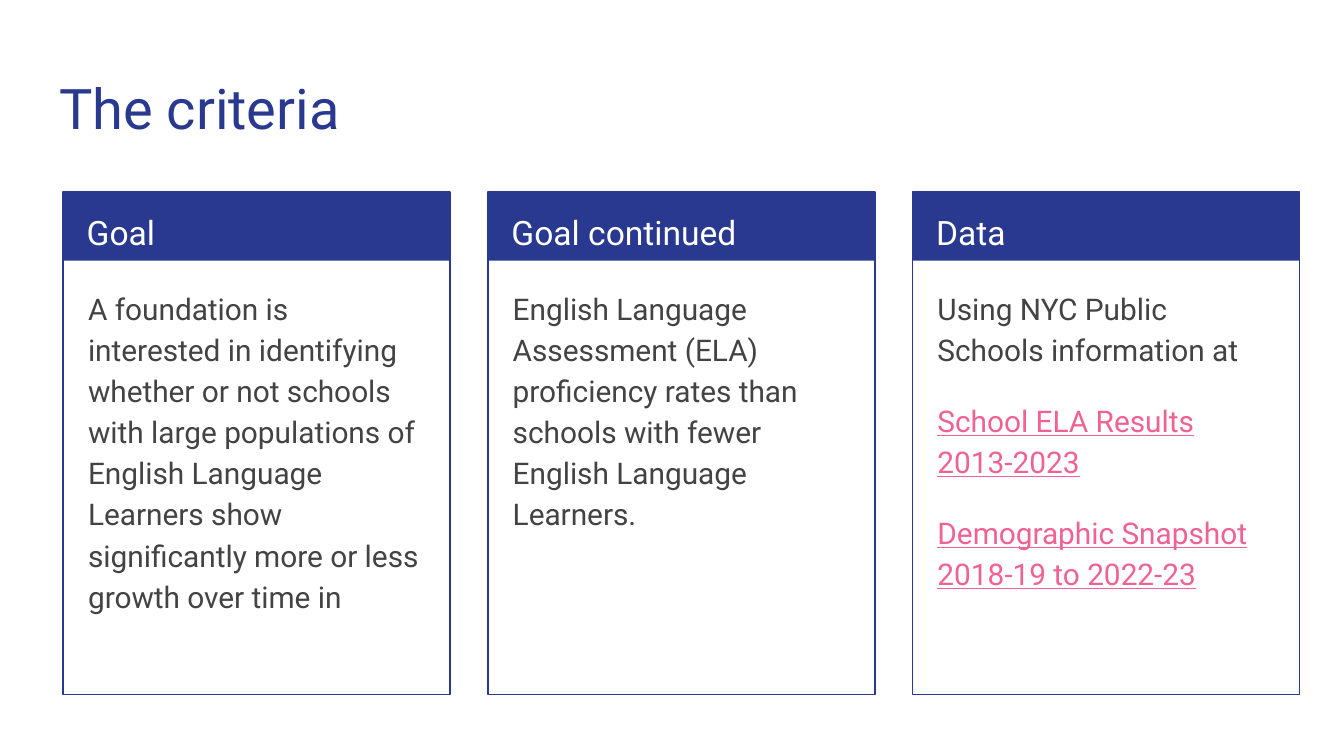
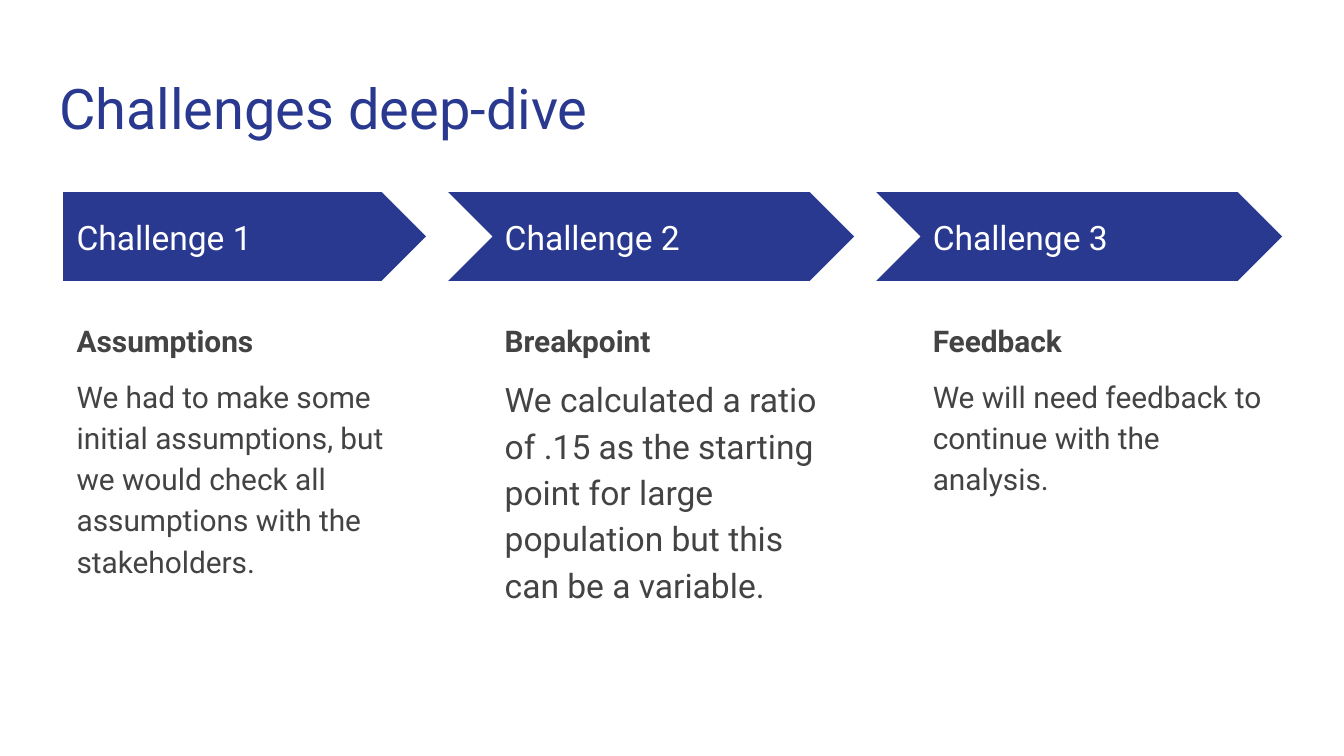
from copy import deepcopy

from pptx import Presentation
from pptx.dml.color import RGBColor
from pptx.enum.shapes import MSO_SHAPE
from pptx.enum.text import MSO_ANCHOR, MSO_AUTO_SIZE, PP_ALIGN
from pptx.util import Inches, Pt

RECTANGLE, PENTAGON, CHEVRON = MSO_SHAPE.RECTANGLE, MSO_SHAPE.PENTAGON, MSO_SHAPE.CHEVRON
TOP, MIDDLE = MSO_ANCHOR.TOP, MSO_ANCHOR.MIDDLE
LEFT, NO_FIT = PP_ALIGN.LEFT, MSO_AUTO_SIZE.NONE

BLUE = RGBColor(0x2A, 0x39, 0x90)
GREY = RGBColor(0x43, 0x43, 0x43)
PINK = RGBColor(0xF0, 0x62, 0x92)
WHITE = RGBColor(0xFF, 0xFF, 0xFF)

# The grid has ten cells to the inch.
SLIDE_COLUMNS, SLIDE_ROWS = 100, 56.25
LEFT_MARGIN, CONTENT_TOP = 4.7, 14.3
BODIES_PER_SLIDE = 6
SECTION_LAYOUT, TITLE_LAYOUT = 2, 5

CARD_WIDTH, CARD_HEIGHT, CARD_PITCH, CARD_HEADER = 28.8, 37.4, 31.6, 5.1
STEP_WIDTH, STEP_HEIGHT, STEP_PITCH, STEP_NOTCH = 27, 6.6, 31.85, 3.2

CARDS = [
    ("Goal", [{"text": "A foundation is interested in identifying whether or not schools "
                       "with large populations of English Language Learners show "
                       "significantly more or less growth over time in"}]),
    ("Goal continued", [{"text": "English Language Assessment (ELA) proficiency rates than "
                                 "schools with fewer English Language Learners."}]),
    ("Data", [
        {"text": "Using NYC Public Schools information at"},
        {"text": "School ELA Results 2013-2023", "color": PINK, "underline": True, "before": 16},
        {"text": "Demographic Snapshot 2018-19 to 2022-23", "color": PINK, "underline": True,
         "before": 16},
    ]),
]

CHALLENGES = [
    ("Challenge 1", "Assumptions", 16,
     "We had to make some initial assumptions, but we would check all assumptions "
     "with the stakeholders."),
    ("Challenge 2", "Breakpoint", 18,
     "We calculated a ratio of .15 as the starting point for large population "
     "but this can be a variable."),
    ("Challenge 3", "Feedback", 16,
     "We will need feedback to continue with the analysis."),
]


def cells(count):
    return Inches(count / 10)


class Deck:
    """Holds the shared style and the slide being built."""

    font = "Roboto"

    def __init__(self):
        self.presentation = Presentation()
        self.presentation.slide_width = cells(SLIDE_COLUMNS)
        self.presentation.slide_height = cells(SLIDE_ROWS)
        self.layout = self.presentation.slide_layouts[TITLE_LAYOUT]
        self.add_layout_bodies()

    def add_layout_bodies(self):
        """Give the title layout the body placeholders that every slide fills."""
        section = self.presentation.slide_layouts[SECTION_LAYOUT]
        source = next(shape for shape in section.placeholders
                      if shape.placeholder_format.idx == 1)
        for index in range(20, 20 + BODIES_PER_SLIDE):
            body = deepcopy(source.element)
            body.xpath(".//p:cNvPr")[0].set("id", str(index))
            body.xpath(".//p:ph")[0].set("idx", str(index))
            self.layout.shapes.element.append(body)

    def start_slide(self, title):
        self.slide = self.presentation.slides.add_slide(self.layout)
        title_shape = self.slide.shapes.title
        self.bodies = iter([shape for shape in self.slide.placeholders
                            if shape.placeholder_format.idx >= 20])
        self.fill_text(title_shape, (3.4, 4.5, 93.2, 6.6),
                       [{"text": title, "size": 30, "color": BLUE}], spacing=1)

    def place(self, shape, box):
        shape.left, shape.top, shape.width, shape.height = map(cells, box)

    def fill_text(self, shape, box, paragraphs, spacing=1.15, anchor=TOP):
        self.place(shape, box)
        frame = shape.text_frame
        frame.word_wrap, frame.auto_size = True, NO_FIT
        frame.vertical_anchor = anchor
        frame.margin_left = frame.margin_right = cells(1)
        frame.margin_top = frame.margin_bottom = cells(1)
        frame.text = "\n".join(item["text"] for item in paragraphs)
        for paragraph, item in zip(frame.paragraphs, paragraphs):
            paragraph.alignment = LEFT
            paragraph.line_spacing = spacing
            paragraph.space_before = Pt(item.get("before", 0))
            paragraph.space_after = Pt(0)
            for run in paragraph.runs:
                run.font.name = self.font
                run.font.size = Pt(item.get("size", 16))
                run.font.bold = item.get("bold", False)
                run.font.underline = item.get("underline", False)
                run.font.color.rgb = item.get("color", GREY)

    def body(self, box, paragraphs, **options):
        """Fill the next body placeholder and bring it to the front."""
        shape = next(self.bodies)
        self.slide.shapes.element.append(shape.element)
        self.fill_text(shape, box, paragraphs, **options)

    def heading(self, box, text, **options):
        self.body(box, [{"text": text, "size": 18, "color": WHITE}], **options)

    def block(self, kind, box, filled=True, parent=None):
        """Draw a blue shape, either filled or outlined."""
        shapes = (parent or self.slide).shapes
        shape = shapes.add_shape(kind, *map(cells, box))
        shape.shadow.inherit = False
        if filled:
            shape.fill.solid()
            shape.fill.fore_color.rgb = BLUE
            shape.line.fill.background()
        else:
            shape.fill.background()
            shape.line.color.rgb = BLUE
            shape.line.width = Pt(0.75)

    def card(self, column, heading, paragraphs):
        left = LEFT_MARGIN + column * CARD_PITCH
        group = self.slide.shapes.add_group_shape()
        for height, filled in ((CARD_HEADER, True), (CARD_HEIGHT, False)):
            self.block(RECTANGLE, (left, CONTENT_TOP, CARD_WIDTH, height), filled, group)
        self.heading((left + 0.75, CONTENT_TOP, 27.3, 5), heading)
        self.body((left + 0.85, CONTENT_TOP + 5.9, 27.1, 30.6), paragraphs)

    def step(self, column, label, topic, size, description):
        left = LEFT_MARGIN + column * STEP_PITCH
        notch = STEP_NOTCH if column else 0
        self.block(CHEVRON if column else PENTAGON,
                   (left - notch, CONTENT_TOP, STEP_WIDTH + notch, STEP_HEIGHT))
        self.heading((left, CONTENT_TOP + 1.6, 24.7, 3.4), label, spacing=1, anchor=MIDDLE)
        self.body((left, CONTENT_TOP + 8.3, STEP_WIDTH, 29),
                  [{"text": topic, "bold": True},
                   {"text": description, "size": size, "before": 8}])


def main():
    deck = Deck()
    deck.start_slide("The criteria")
    for column, card in enumerate(CARDS):
        deck.card(column, *card)
    deck.start_slide("Challenges deep-dive")
    for column, challenge in enumerate(CHALLENGES):
        deck.step(column, *challenge)
    deck.presentation.save("out.pptx")


if __name__ == "__main__":
    main()
